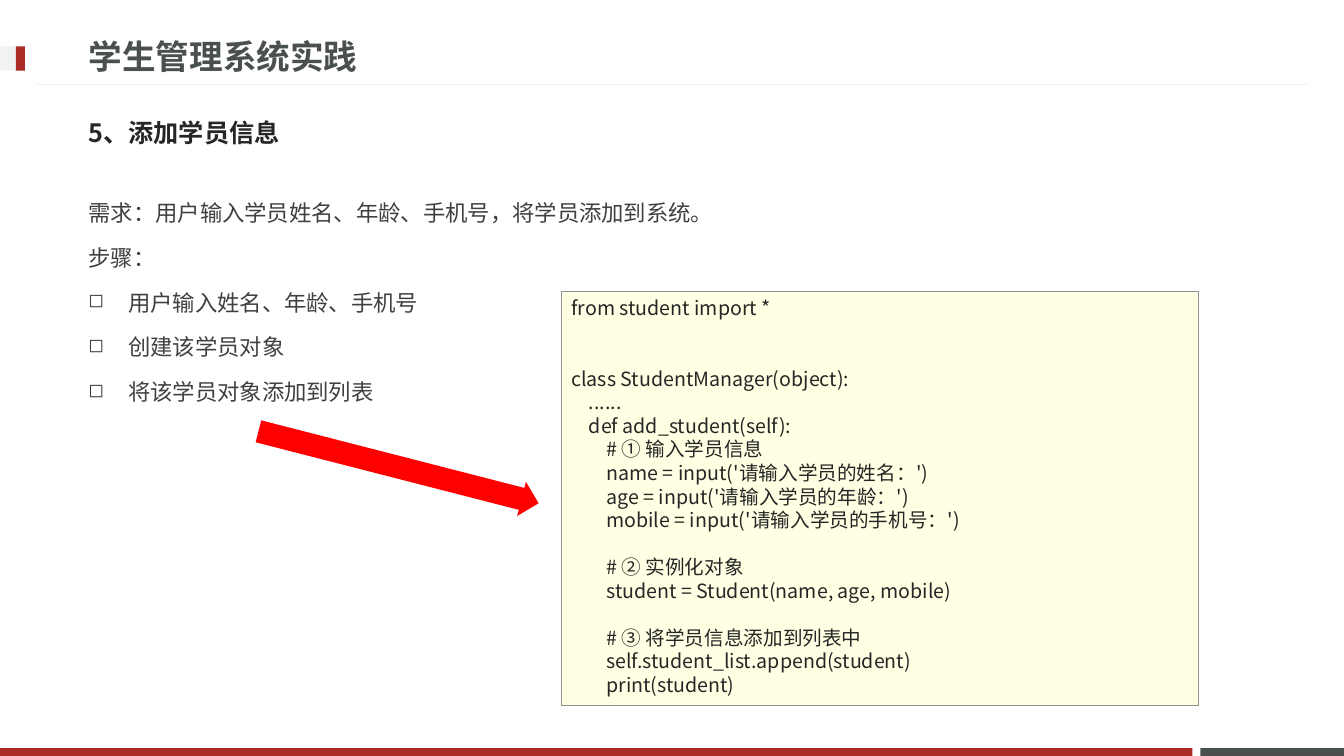
from pptx import Presentation
from pptx.dml.color import RGBColor
from pptx.enum.shapes import MSO_CONNECTOR, MSO_SHAPE
from pptx.enum.text import MSO_ANCHOR, PP_ALIGN
from pptx.oxml.ns import qn
from pptx.util import Cm, Pt
from lxml.etree import SubElement

RED = RGBColor(0xAD, 0x2B, 0x26)
ARROW_RED = RGBColor(0xFF, 0x00, 0x00)
SLATE = RGBColor(0x49, 0x50, 0x4F)
PALE = RGBColor(0xF2, 0xF2, 0xF2)
CREAM = RGBColor(0xFF, 0xFF, 0xE4)
BORDER = RGBColor(0x91, 0x91, 0x91)
TEXT = RGBColor(0x40, 0x40, 0x40)
DARK = RGBColor(0x26, 0x26, 0x26)
CJK = "Noto Sans CJK JP"

deck = Presentation()
deck.slide_width, deck.slide_height = Cm(33.87), Cm(19.05)
page = deck.slides.add_slide(deck.slide_layouts[5])


def add_block(kind, left, top, width, height, fill):
    block = page.shapes.add_shape(kind, Cm(left), Cm(top), Cm(width), Cm(height))
    block.shadow.inherit = False
    block.fill.solid()
    block.fill.fore_color.rgb = fill
    block.line.fill.background()
    return block


def write(para, text, font, color, para_format):
    span = para.add_run()
    span.text = text
    for name, value in font.items():
        setattr(span.font, name, value)
    span.font.color.rgb = color
    SubElement(span.font._element, qn("a:ea")).set("typeface", CJK)
    para.alignment = PP_ALIGN.LEFT
    for name, value in para_format.items():
        setattr(para, name, value)


# Footer bars and header marker
for left, top, width, height, fill in [
    (30.25, 18.85, 3.62, 0.2, SLATE),
    (0, 18.85, 30.05, 0.2, RED),
    (0, 1.17, 0.63, 0.61, PALE),
    (0.4, 1.17, 0.23, 0.61, RED),
]:
    add_block(MSO_SHAPE.RECTANGLE, left, top, width, height, fill)

# Header rule
rule = page.shapes.add_connector(MSO_CONNECTOR.STRAIGHT, Cm(32.97), Cm(2.13), Cm(0.89), Cm(2.13))
rule.line.color.rgb = PALE
rule.line.width = Pt(0.75)
SubElement(rule._element.spPr, qn("a:effectLst"))

# Title
title = page.shapes.title
title.left, title.top, title.width, title.height = Cm(1.98), Cm(0.69), Cm(24.36), Cm(1.45)
title.text_frame.vertical_anchor = MSO_ANCHOR.MIDDLE
write(title.text_frame.paragraphs[0], "学生管理系统实践",
      {"size": Pt(24), "bold": True, "name": "Calibri"}, SLATE, {})

# Section heading
heading = page.shapes.add_textbox(Cm(1.98), Cm(2.62), Cm(29.87), Cm(1.45)).text_frame
heading.word_wrap = True
heading.vertical_anchor = MSO_ANCHOR.MIDDLE
write(heading.paragraphs[0], "5、添加学员信息",
      {"size": Pt(18), "bold": True, "name": CJK}, DARK, {"space_before": Pt(3.6)})

# Requirement and steps
steps = page.shapes.add_textbox(Cm(1.98), Cm(4.57), Cm(29.87), Cm(11.71)).text_frame
steps.word_wrap = True
for index, (text, bulleted) in enumerate([
    ("需求：用户输入学员姓名、年龄、手机号，将学员添加到系统。", False),
    ("步骤：", False),
    ("用户输入姓名、年龄、手机号", True),
    ("创建该学员对象", True),
    ("将该学员对象添加到列表", True),
]):
    para = steps.add_paragraph() if index else steps.paragraphs[0]
    write(para, text, {"size": Pt(16), "name": "Calibri"}, TEXT,
          {"line_spacing": Pt(28.7), "space_before": Pt(3.2)})
    if bulleted:
        props = para._p.get_or_add_pPr()
        props.set("marL", str(Cm(1)))
        props.set("indent", str(-Cm(1)))
        SubElement(SubElement(props, qn("a:buClr")), qn("a:srgbClr")).set("val", str(TEXT))
        SubElement(props, qn("a:buSzPct")).set("val", "85000")
        SubElement(props, qn("a:buChar")).set("char", "◻")

# Code box: indent level, blank lines above, text
LINE = 16.8
code_box = add_block(MSO_SHAPE.RECTANGLE, 14.15, 7.34, 16.05, 10.44, CREAM)
code_box.line.color.rgb = BORDER
code_box.line.width = Pt(0.25)
code = code_box.text_frame
code.word_wrap = True
code.vertical_anchor = MSO_ANCHOR.TOP
for index, (level, gap, text) in enumerate([
    (0, 0, "from student import *"),
    (0, 2, "class StudentManager(object):"),
    (1, 0, "......"),
    (1, 0, "def add_student(self):"),
    (2, 0, "# ① 输入学员信息"),
    (2, 0, "name = input('请输入学员的姓名：')"),
    (2, 0, "age = input('请输入学员的年龄：')"),
    (2, 0, "mobile = input('请输入学员的手机号：')"),
    (2, 1, "# ② 实例化对象"),
    (2, 0, "student = Student(name, age, mobile)"),
    (2, 1, "# ③ 将学员信息添加到列表中"),
    (2, 0, "self.student_list.append(student)"),
    (2, 0, "print(student)"),
]):
    para = code.add_paragraph() if index else code.paragraphs[0]
    write(para, text, {"size": Pt(14), "name": CJK}, DARK,
          {"line_spacing": Pt(LINE), "space_before": Pt(gap * LINE)})
    para._p.get_or_add_pPr().set("marL", str(Cm(0.44 * level)))

# Arrow from the steps to the code
arrow = add_block(MSO_SHAPE.RIGHT_ARROW, 6.4, 11.33, 7.29, 0.89, ARROW_RED)
arrow.rotation = 14.4
arrow.adjustments[0], arrow.adjustments[1] = 0.64, 0.5

deck.save("out.pptx")
